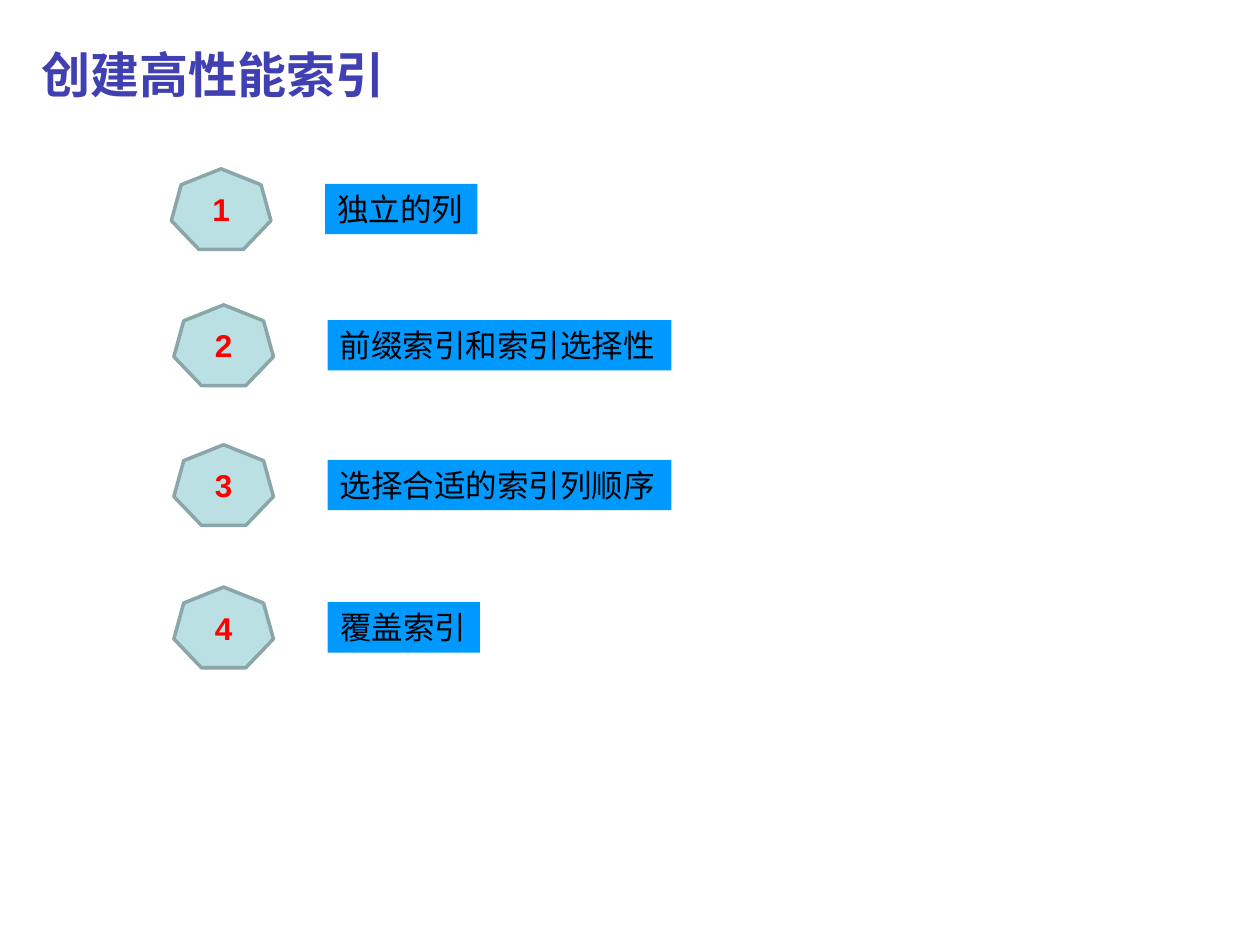
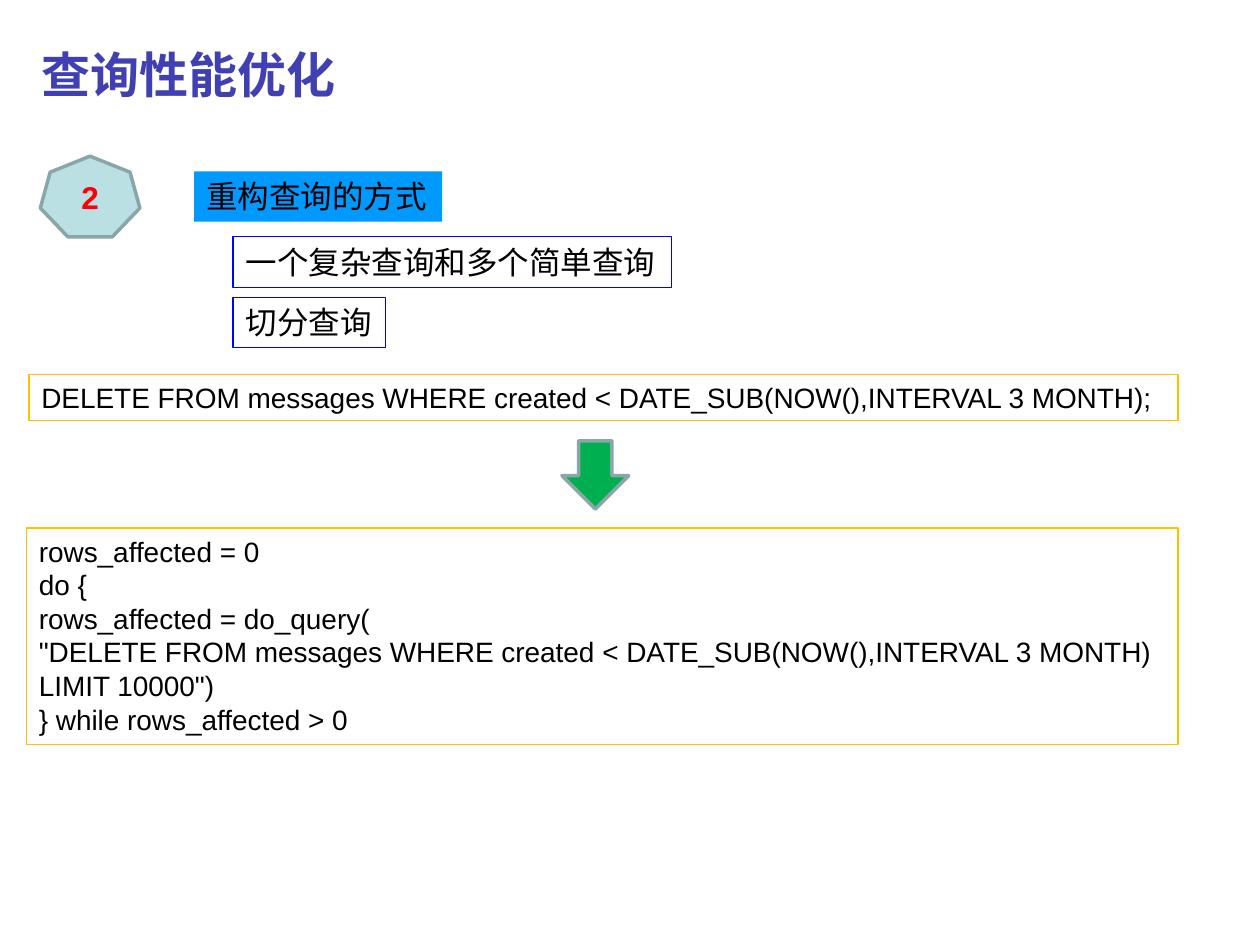
from dataclasses import dataclass
from typing import Optional

from pptx import Presentation
from pptx.dml.color import RGBColor
from pptx.enum.lang import MSO_LANGUAGE_ID as Language
from pptx.enum.shapes import MSO_SHAPE as Preset
from pptx.enum.text import MSO_ANCHOR as Anchor, MSO_AUTO_SIZE as AutoSize, PP_ALIGN as Align
from pptx.presentation import Presentation as Deck
from pptx.shapes.autoshape import Shape
from pptx.slide import Slide
from pptx.util import Inches, Pt


@dataclass(frozen=True)
class Theme:
    font: str = "Arial"
    title_color: str = "4040B3"
    text_color: str = "000000"
    number_color: str = "FF0000"
    badge_fill: str = "BBE0E3"
    badge_line: str = "8AA6A8"
    label_fill: str = "0099FF"
    subtopic_line: str = "0000FF"
    code_line: str = "FFC000"
    arrow_fill: str = "00B050"
    title_size: int = 28
    body_size: int = 18
    code_size: int = 16
    thick_line: float = 2
    thin_line: float = 0.75


THEME = Theme()
TITLE_ONLY_LAYOUT = 5


@dataclass(frozen=True)
class Box:
    left: float
    top: float
    width: float
    height: float


@dataclass(frozen=True)
class Topic:
    """A numbered heptagon with a label to its right."""
    number: int
    label: str
    left: float
    top: float
    label_width: float


@dataclass(frozen=True)
class OutlinedText:
    text: str
    box: Box
    line: str
    size: int


TOPICS = [
    Topic(1, "独立的列", 1.36, 1.34, 1.21),
    Topic(2, "前缀索引和索引选择性", 1.38, 2.42, 2.73),
    Topic(3, "选择合适的索引列顺序", 1.38, 3.53, 2.73),
    Topic(4, "覆盖索引", 1.38, 4.66, 1.21),
]
REWRITE_TOPIC = Topic(2, "重构查询的方式", 0.32, 1.24, 1.97)

SINGLE_DELETE = "DELETE FROM messages WHERE created < DATE_SUB(NOW(),INTERVAL 3 MONTH)"
BATCHED_DELETE = f"""rows_affected = 0
do {{
rows_affected = do_query(
"{SINGLE_DELETE}
LIMIT 10000")
}} while rows_affected > 0"""

REWRITE_TEXTS = [
    OutlinedText("一个复杂查询和多个简单查询", Box(1.85, 1.88, 3.48, 0.4),
                 THEME.subtopic_line, THEME.body_size),
    OutlinedText("切分查询", Box(1.85, 2.36, 1.21, 0.4),
                 THEME.subtopic_line, THEME.body_size),
    OutlinedText(SINGLE_DELETE + ";", Box(0.23, 2.97, 9.12, 0.37),
                 THEME.code_line, THEME.code_size),
    OutlinedText(BATCHED_DELETE, Box(0.21, 4.19, 9.14, 1.72),
                 THEME.code_line, THEME.code_size),
]


def write_text(shape: Shape, text: str, *, size: int = THEME.body_size,
               color: str = THEME.text_color, bold: bool = False,
               align: Align = Align.LEFT, anchor: Anchor = Anchor.TOP,
               grow: bool = True) -> None:
    """Fill a shape with text; a growing shape fits its unwrapped lines."""
    frame = shape.text_frame
    frame.text = text
    frame.word_wrap = not grow
    frame.auto_size = AutoSize.SHAPE_TO_FIT_TEXT if grow else AutoSize.NONE
    frame.vertical_anchor = anchor
    for paragraph in frame.paragraphs:
        paragraph.alignment = align
        for run in paragraph.runs:
            run.font.name = THEME.font
            run.font.size = Pt(size)
            run.font.bold = bold
            run.font.color.rgb = RGBColor.from_string(color)
            run.font.language_id = Language.SIMPLIFIED_CHINESE


def add_preset(slide: Slide, preset: Preset, box: Box, *, fill: Optional[str] = None,
               line: Optional[str] = None, line_width: float = THEME.thin_line) -> Shape:
    shape = slide.shapes.add_shape(preset, Inches(box.left), Inches(box.top),
                                   Inches(box.width), Inches(box.height))
    shape.shadow.inherit = False
    if fill:
        shape.fill.solid()
        shape.fill.fore_color.rgb = RGBColor.from_string(fill)
    else:
        shape.fill.background()
    if line:
        shape.line.color.rgb = RGBColor.from_string(line)
        shape.line.width = Pt(line_width)
    else:
        shape.line.fill.background()
    return shape


def add_titled_slide(presentation: Deck, text: str, width: float) -> Slide:
    slide = presentation.slides.add_slide(presentation.slide_layouts[TITLE_ONLY_LAYOUT])
    title = slide.shapes.title
    title.left, title.top = Inches(0.23), Inches(0.3)
    title.width, title.height = Inches(width), Inches(0.57)
    write_text(title, text, size=THEME.title_size, color=THEME.title_color, bold=True)
    return slide


def add_topic(slide: Slide, topic: Topic) -> None:
    badge = add_preset(slide, Preset.HEPTAGON, Box(topic.left, topic.top, 0.79, 0.64),
                       fill=THEME.badge_fill, line=THEME.badge_line,
                       line_width=THEME.thick_line)
    write_text(badge, str(topic.number), color=THEME.number_color, bold=True,
               align=Align.CENTER, anchor=Anchor.MIDDLE, grow=False)
    label_box = Box(topic.left + 1.22, topic.top + 0.12, topic.label_width, 0.4)
    label = add_preset(slide, Preset.RECTANGLE, label_box, fill=THEME.label_fill)
    write_text(label, topic.label)


def add_outlined_text(slide: Slide, item: OutlinedText) -> None:
    shape = add_preset(slide, Preset.RECTANGLE, item.box, line=item.line)
    write_text(shape, item.text, size=item.size)


def build_index_slide(presentation: Deck) -> None:
    slide = add_titled_slide(presentation, "创建高性能索引", 2.96)
    for topic in TOPICS:
        add_topic(slide, topic)


def build_query_slide(presentation: Deck) -> None:
    slide = add_titled_slide(presentation, "查询性能优化", 2.57)
    add_topic(slide, REWRITE_TOPIC)
    for item in REWRITE_TEXTS:
        add_outlined_text(slide, item)
    add_preset(slide, Preset.DOWN_ARROW, Box(4.46, 3.5, 0.53, 0.54),
               fill=THEME.arrow_fill, line=THEME.badge_line,
               line_width=THEME.thick_line)


def main() -> None:
    presentation = Presentation()
    presentation.slide_width = Inches(10)
    presentation.slide_height = Inches(7.5)
    build_index_slide(presentation)
    build_query_slide(presentation)
    presentation.save("out.pptx")


if __name__ == "__main__":
    main()
